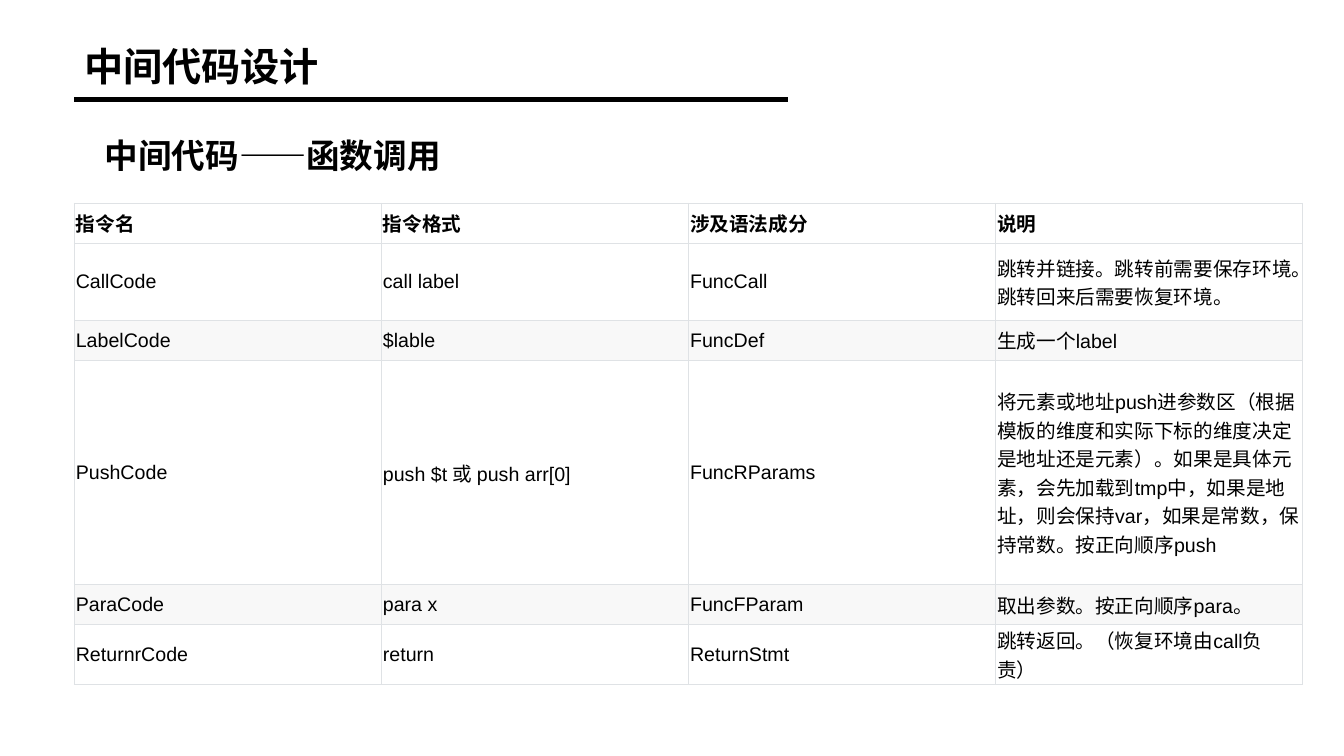
from lxml import etree
from pptx import Presentation
from pptx.dml.color import RGBColor
from pptx.enum.lang import MSO_LANGUAGE_ID
from pptx.enum.shapes import MSO_CONNECTOR
from pptx.enum.text import MSO_ANCHOR, PP_ALIGN
from pptx.oxml.ns import qn
from pptx.util import Cm, Pt

STRAIGHT = MSO_CONNECTOR.STRAIGHT
TOP, MIDDLE = MSO_ANCHOR.TOP, MSO_ANCHOR.MIDDLE
LEFT = PP_ALIGN.LEFT
CHINESE = MSO_LANGUAGE_ID.SIMPLIFIED_CHINESE
COLORS = {"text": "000000", "plain": "FFFFFF", "band": "F8F8F8", "border": "DFE2E5"}
MARGIN = Cm(1.87)


def add_text(frame, text, size, bold):
    paragraph = frame.paragraphs[0]
    paragraph.alignment = LEFT
    run = paragraph.add_run()
    run.text = text
    run.font.name = "Arial"
    run.font.size = Pt(size)
    run.font.bold = bold
    run.font.language_id = CHINESE
    run.font.color.rgb = RGBColor.from_string(COLORS["text"])
    return paragraph


def add_borders(cell):
    properties = cell._tc.get_or_add_tcPr()
    for position, side in enumerate(("lnL", "lnR", "lnT", "lnB")):
        border = etree.Element(qn(f"a:{side}"), w=str(Pt(0.6)))
        fill = etree.SubElement(border, qn("a:solidFill"))
        etree.SubElement(fill, qn("a:srgbClr"), val=COLORS["border"])
        properties.insert(position, border)


presentation = Presentation()
presentation.slide_width, presentation.slide_height = Cm(33.87), Cm(19.05)
slide = presentation.slides.add_slide(presentation.slide_layouts[5])

# Title and subtitle
title = slide.shapes.title
title.left, title.top, title.width, title.height = MARGIN, Cm(1.07), Cm(30.15), Cm(1.78)
subtitle = slide.shapes.add_textbox(Cm(2.39), Cm(3.4), Cm(10.59), Cm(1.45))
for heading, text, size in ((title, "中间代码设计", 28), (subtitle, "中间代码——函数调用", 24)):
    frame = heading.text_frame
    frame.word_wrap = True
    frame.vertical_anchor = TOP
    add_text(frame, text, size, True).line_spacing = 0.9

# Rule under the title
title_rule = slide.shapes.add_connector(STRAIGHT, MARGIN, Cm(2.51), Cm(19.86), Cm(2.51))
title_rule.line.color.rgb = RGBColor.from_string(COLORS["text"])
title_rule.line.width = Pt(3)
etree.SubElement(title_rule._element.spPr, qn("a:effectLst"))

# Instruction table: row height in cm, then the four cells
instructions = [
    (1.01, "指令名", "指令格式", "涉及语法成分", "说明"),
    (1.94, "CallCode", "call label", "FuncCall",
     "跳转并链接。跳转前需要保存环境。跳转回来后需要恢复环境。"),
    (1.01, "LabelCode", "$lable", "FuncDef", "生成一个label"),
    (5.65, "PushCode", "push $t 或 push arr[0]", "FuncRParams",
     "将元素或地址push进参数区（根据模板的维度和实际下标的维度决定是地址还是元素）。"
     "如果是具体元素，会先加载到tmp中，如果是地址，则会保持var，如果是常数，保持常数。"
     "按正向顺序push"),
    (1.01, "ParaCode", "para x", "FuncFParam", "取出参数。按正向顺序para。"),
    (1.5, "ReturnrCode", "return", "ReturnStmt", "跳转返回。（恢复环境由call负责）"),
]
table_height = Cm(sum(height for height, *_ in instructions))
table = slide.shapes.add_table(
    len(instructions), 4, MARGIN, Cm(5.12), Cm(30.96), table_height).table
table.first_row = True
table.horz_banding = False
for column in table.columns:
    column.width = Cm(7.74)

for row, (height, *texts) in enumerate(instructions):
    table.rows[row].height = Cm(height)
    band = "band" if row in (2, 4) else "plain"
    for column, text in enumerate(texts):
        cell = table.cell(row, column)
        cell.margin_left = cell.margin_right = Cm(0.04)
        cell.margin_top = cell.margin_bottom = Cm(0.02)
        cell.vertical_anchor = MIDDLE
        cell.fill.solid()
        cell.fill.fore_color.rgb = RGBColor.from_string(COLORS[band])
        add_borders(cell)
        add_text(cell.text_frame, text, 14, row == 0)

presentation.save("out.pptx")
